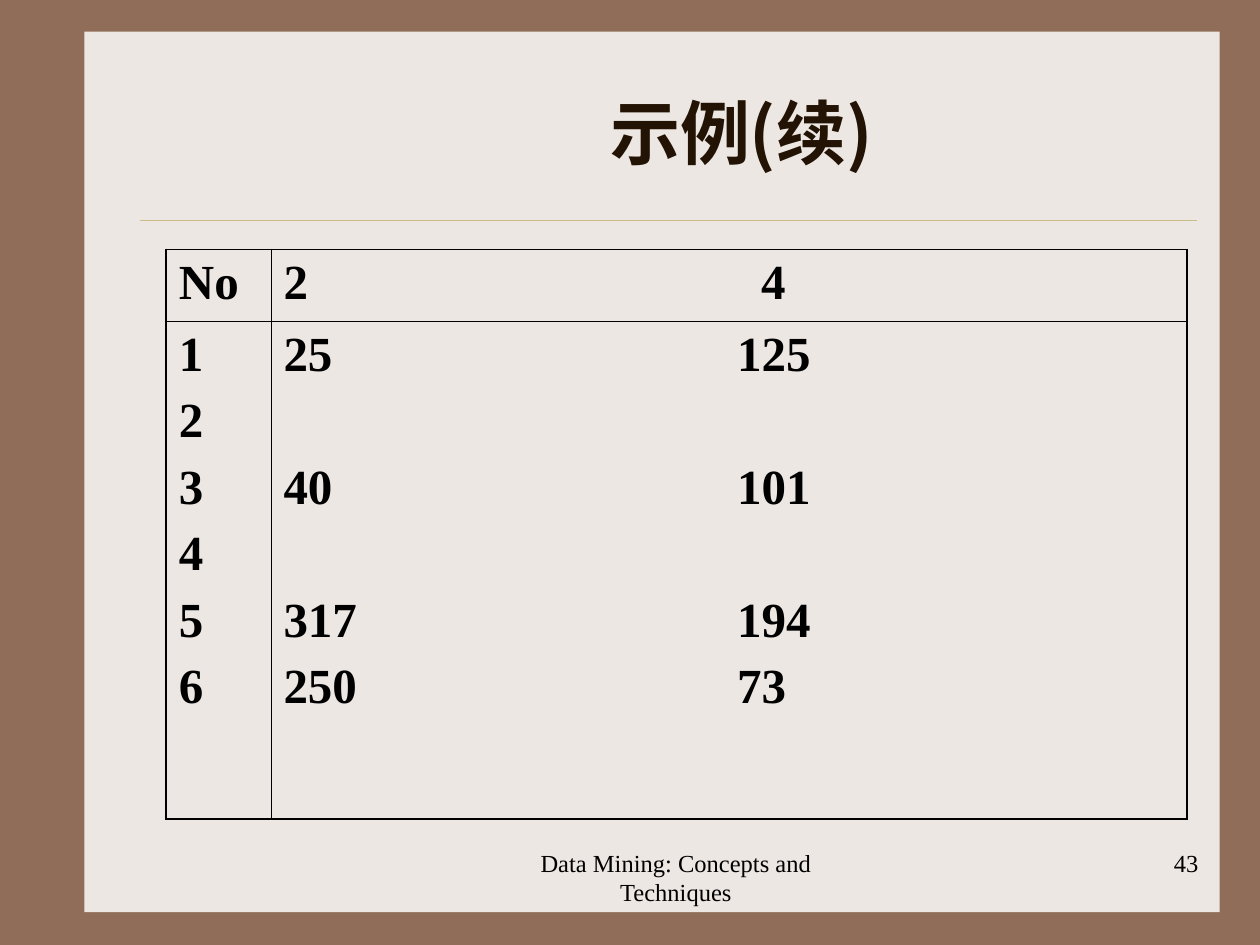
import dataclasses

import pptx
import pptx.dml.color
import pptx.enum.shapes
import pptx.enum.text
import pptx.oxml
import pptx.oxml.ns
import pptx.util

ALIGN = pptx.enum.text.PP_ALIGN
ANCHOR = pptx.enum.text.MSO_ANCHOR
COLUMNS, ROWS = 100, 75  # grid of the slide
UNIT = pptx.util.Inches(0.1)  # side of one grid square


@dataclasses.dataclass(frozen=True)
class Theme:
    frame: str = "906D58"
    paper: str = "EDE7E3"
    rule: str = "CBBD83"
    title: str = "221304"
    ink: str = "000000"
    serif: str = "Times New Roman"
    chinese: str = "Noto Sans CJK SC"
    title_size: float = 40
    table_size: float = 28
    footer_size: float = 14
    outer_line: float = 1.08
    inner_line: float = 0.45
    rule_line: float = 0.25
    row_gap: float = 7
    row_pitch: float = 38  # one table line with its gap, in points


THEME = Theme()


@dataclasses.dataclass(frozen=True)
class Box:
    """An area in grid columns and rows."""
    left: float
    top: float
    width: float
    height: float

    def inner(self, left, top, width, height):
        """An area placed relative to this one."""
        return Box(self.left + left, self.top + top, width, height)

    def lengths(self):
        return [grid(n) for n in (self.left, self.top, self.width, self.height)]


def grid(count):
    return int(count * UNIT)


def colour(value):
    return pptx.dml.color.RGBColor.from_string(value)


def add_element(parent, tag, **attributes):
    child = pptx.oxml.parse_xml(f"<a:{tag} {pptx.oxml.ns.nsdecls('a')}/>")
    for name, value in attributes.items():
        child.set(name, str(value))
    parent.append(child)
    return child


def write(para, text, *, size, font=THEME.serif, ink=THEME.ink, bold=False,
          align=ALIGN.LEFT, before=0, indent=0, tab=None):
    """Write one formatted paragraph."""
    properties = para._p.get_or_add_pPr()
    properties.set("marL", str(grid(indent)))
    para.alignment = align
    if before:
        para.space_before = pptx.util.Pt(before)
    if tab is not None:
        add_element(add_element(properties, "tabLst"), "tab", pos=grid(tab), algn="l")
    span = para.add_run()
    span.text = text
    span.font.size = pptx.util.Pt(size)
    span.font.name = font
    span.font.bold = bold
    span.font.color.rgb = colour(ink)
    add_element(span._r.get_or_add_rPr(), "ea", typeface=font)


def add_text(page, box, text, anchor=ANCHOR.TOP, **style):
    frame = page.shapes.add_textbox(*box.lengths()).text_frame
    frame.word_wrap = True
    frame.vertical_anchor = anchor
    write(frame.paragraphs[0], text, **style)


def add_backdrop(page, box):
    page.background.fill.solid()
    page.background.fill.fore_color.rgb = colour(THEME.frame)
    paper = page.shapes.add_shape(
        pptx.enum.shapes.MSO_SHAPE.RECTANGLE, *box.lengths())
    paper.shadow.inherit = False
    paper.fill.solid()
    paper.fill.fore_color.rgb = colour(THEME.paper)
    paper.line.fill.background()


def add_header(page, box):
    # Title, shifted to the right of the centre
    add_text(page, box.inner(0.6, 0, 83.3, 12.5), "示例(续)", anchor=ANCHOR.MIDDLE,
             size=THEME.title_size, font=THEME.chinese, ink=THEME.title,
             bold=True, align=ALIGN.CENTER, indent=11)
    # Rule under the title
    bottom = grid(box.top + box.height)
    rule = page.shapes.add_connector(
        pptx.enum.shapes.MSO_CONNECTOR.STRAIGHT,
        grid(box.left), bottom, grid(box.left + box.width), bottom)
    rule.line.color.rgb = colour(THEME.rule)
    rule.line.width = pptx.util.Pt(THEME.rule_line)
    add_element(rule._element.spPr, "effectLst")


def set_border(cell, side, width):
    line = add_element(cell._tc.get_or_add_tcPr(), side, w=int(pptx.util.Pt(width)))
    add_element(add_element(line, "solidFill"), "srgbClr", val=THEME.ink)


def fill_cell(cell, lines, tab):
    """Write (row, text) lines; a skipped row becomes space before the next."""
    previous = None
    for row, text in lines:
        if previous is None:
            para, before = cell.text_frame.paragraphs[0], 0
        else:
            para = cell.text_frame.add_paragraph()
            before = THEME.row_gap + (row - previous - 1) * THEME.row_pitch
        write(para, text, size=THEME.table_size, bold=True, before=before, tab=tab)
        previous = row


def add_counts(page, box):
    widths, heights = (8.3, box.width - 8.3), (5.7, box.height - 5.7)
    table = page.shapes.add_table(2, 2, *box.lengths()).table
    table.first_row = table.horz_banding = False
    for column, width in zip(table.columns, widths):
        column.width = grid(width)
    for row, height in zip(table.rows, heights):
        row.height = grid(height)

    numbers = [(n, str(n)) for n in range(1, 7)]
    values = [(1, "25\t125"), (3, "40\t101"), (5, "317\t194"), (6, "250\t73")]
    contents = [[[(0, "No")], [(0, "2\t4")]], [numbers, values]]
    tabs = [[None, 37.9], [None, 36]]
    for r in range(2):
        for c in range(2):
            cell = table.cell(r, c)
            fill_cell(cell, contents[r][c], tabs[r][c])
            # Thick lines outside, thin lines inside
            outer = {"lnL": c == 0, "lnR": c == 1, "lnT": r == 0, "lnB": r == 1}
            for side, is_outer in outer.items():
                set_border(cell, side,
                           THEME.outer_line if is_outer else THEME.inner_line)
            cell.fill.background()


def add_footer(page, box):
    add_text(page, box.inner(0, 0, 31.7, box.height),
             "Data Mining: Concepts and Techniques",
             size=THEME.footer_size, align=ALIGN.CENTER)
    add_text(page, box.inner(box.width - 20.8, 0, 20.8, box.height), "43",
             size=THEME.footer_size, align=ALIGN.RIGHT)


def main():
    deck = pptx.Presentation()
    deck.slide_width, deck.slide_height = grid(COLUMNS), grid(ROWS)
    page = deck.slides.add_slide(deck.slide_layouts[6])
    add_backdrop(page, Box(6.7, 2.5, 90.1, 69.9))
    add_header(page, Box(11.1, 4.2, 83.9, 13.3))
    add_counts(page, Box(13.2, 19.8, 81, 45.2))
    add_footer(page, Box(37.8, 66.8, 58.3, 5))
    deck.save("out.pptx")


if __name__ == "__main__":
    main()
